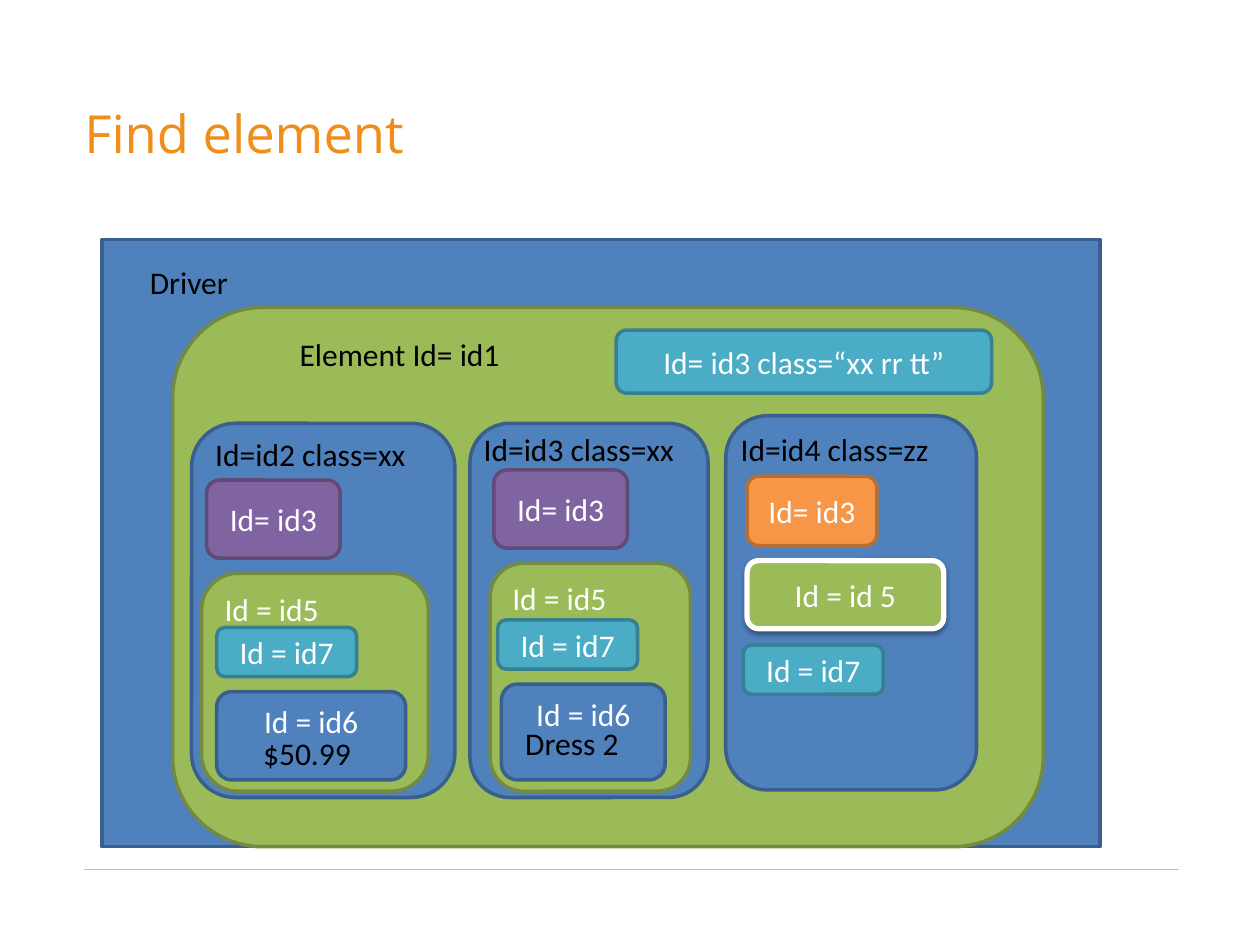
from pptx import Presentation
from pptx.util import Inches, Pt
from pptx.dml.color import RGBColor
from pptx.enum.shapes import MSO_SHAPE as Kind, MSO_CONNECTOR as Link
from pptx.enum.text import PP_ALIGN as Align, MSO_ANCHOR as Anchor
from pptx.oxml import parse_xml
from pptx.oxml.ns import nsdecls

BLUE, GREEN = ("4F81BD", "3A5F8C"), ("9BBB59", "738A42")
TEAL, PURPLE = ("4BACC6", "377F92"), ("8064A2", "5F4A78")
ORANGE, FRAMED = ("F79646", "B76F34"), ("9BBB59", "FFFFFF")


def color(code):
    return RGBColor.from_string(code)


def write(frame, text, size=18, font="Calibri", ink="FFFFFF",
          align=Align.LEFT, anchor=Anchor.TOP):
    frame.word_wrap = True
    frame.vertical_anchor = anchor
    para = frame.paragraphs[0]
    para.alignment = align
    run = para.add_run()
    run.text = text
    run.font.size, run.font.name = Pt(size), font
    run.font.color.rgb = color(ink)


def effects(shape, inner=""):
    xml = f'<a:effectLst {nsdecls("a")}>{inner}</a:effectLst>'
    shape._element.spPr.append(parse_xml(xml))


class Board:
    ink = "000000"
    shade = ('<a:outerShdw blurRad="39370" dist="20320" dir="5400000" rotWithShape="0">'
             '<a:srgbClr val="000000"><a:alpha val="38000"/></a:srgbClr></a:outerShdw>')

    def __init__(self, deck):
        self.slide = deck.slides.add_slide(deck.slide_layouts[5])
        self.shapes = self.slide.shapes

    def title(self, text, *at):
        head = self.shapes.title
        head.left, head.top, head.width, head.height = map(Inches, at)
        frame = head.text_frame
        frame.margin_left = frame.margin_top = 0
        write(frame, text, size=30, font="Open Sans", ink="F08E1B", anchor=Anchor.MIDDLE)

    def rule(self, x, y, end):
        line = self.shapes.add_connector(Link.STRAIGHT, *map(Inches, (x, y, end, y)))
        line.line.color.rgb = color("BFBFBF")
        line.line.width = Pt(0.75)
        effects(line)

    def label(self, text, *at):
        box = self.shapes.add_textbox(*map(Inches, at))
        write(box.text_frame, text, ink=self.ink)

    def box(self, pair, *at, text="", kind=Kind.ROUNDED_RECTANGLE, width=2,
            shadow=False, align=Align.CENTER, anchor=Anchor.MIDDLE):
        shape = self.shapes.add_shape(kind, *map(Inches, at))
        shape.fill.solid()
        shape.fill.fore_color.rgb = color(pair[0])
        shape.line.color.rgb = color(pair[1])
        shape.line.width = Pt(width)
        if shadow:
            effects(shape, self.shade)
        else:
            shape.shadow.inherit = False
        if text:
            write(shape.text_frame, text, align=align, anchor=anchor)

    def item(self, outer, name, head, tag, group, chip, price, note, spot):
        """One element with its nested children."""
        self.box(BLUE, *outer)
        self.label(name, *head)
        self.box(PURPLE, *tag, 1.06, 0.62, text="Id= id3")
        self.box(GREEN, *group, text="Id = id5", align=Align.LEFT, anchor=Anchor.TOP)
        self.box(TEAL, *chip, 1.11, 0.39, text="Id = id7")
        self.box(BLUE, *price, text="Id = id6", anchor=Anchor.TOP)
        self.label(note, *spot, 1.41, 0.4)


deck = Presentation()
deck.slide_width, deck.slide_height = Inches(10), Inches(7.5)
board = Board(deck)
board.rule(0.67, 6.9, 9.36)
board.title("Find element", 0.67, 0.52, 8.74, 1.11)

# Driver and root element
board.box(BLUE, 0.81, 1.9, 7.92, 4.82, kind=Kind.RECTANGLE)
board.label("Driver", 1.09, 2.04, 1.49, 0.4)
board.box(GREEN, 1.37, 2.44, 6.91, 4.28)
board.label("Element Id= id1", 2.28, 2.61, 2.23, 0.4)
board.box(TEAL, 4.89, 2.62, 2.98, 0.5, text="Id= id3 class=“xx rr tt”")

# Two elements of class xx
board.item((1.52, 3.36, 2.09, 2.97), "Id=id2 class=xx", (1.61, 3.4, 1.95, 0.4),
           (1.64, 3.81), (1.6, 4.55, 1.8, 1.73), (1.72, 4.98),
           (1.72, 5.49, 1.5, 0.7), "$50.99", (1.99, 5.78))
board.item((3.73, 3.36, 1.89, 2.97), "Id=id3 class=xx", (3.74, 3.36, 1.95, 0.71),
           (3.92, 3.73), (3.89, 4.47, 1.59, 1.81), (3.95, 4.92),
           (3.98, 5.43, 1.3, 0.76), "Dress 2", (4.07, 5.7))

# Element of class zz
board.box(BLUE, 5.76, 3.3, 1.99, 2.97)
board.label("Id=id4 class=zz", 5.78, 3.36, 1.95, 0.71)
board.box(ORANGE, 5.93, 3.78, 1.03, 0.55, text="Id= id3")
board.box(FRAMED, 5.93, 4.45, 1.56, 0.54, text="Id = id 5", width=3, shadow=True)
board.box(TEAL, 5.9, 5.12, 1.11, 0.39, text="Id = id7")

deck.save("out.pptx")
